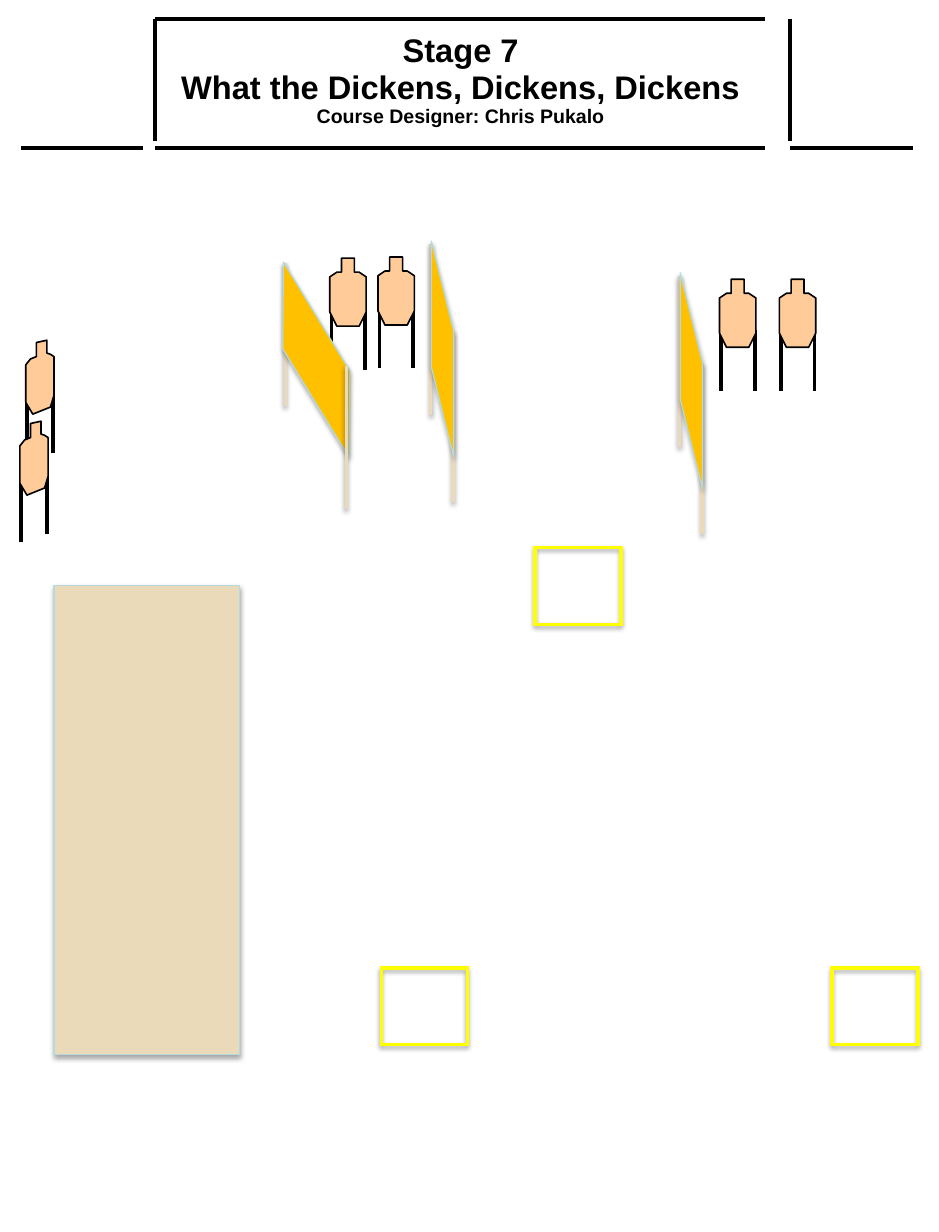
from lxml import etree
from pptx import Presentation
from pptx import util as u
from pptx.dml.color import RGBColor
from pptx.enum import shapes, text
from pptx.oxml import ns

BLACK = RGBColor(0x00, 0x00, 0x00)
WHITE = RGBColor(0xFF, 0xFF, 0xFF)
SAND = RGBColor(0xEB, 0xDA, 0xB9)
ORANGE = RGBColor(0xFF, 0xC0, 0x00)
PALE_BLUE = RGBColor(0xB5, 0xDA, 0xDD)
CARDBOARD = RGBColor(0xFF, 0xCC, 0x99)
YELLOW = RGBColor(0xFF, 0xFF, 0x00)

# Target outlines in hundredths of an inch from their top left corner
FRONT_TARGET = [(10, 0), (21, 0), (21, 12), (25, 12), (31, 16), (31, 46),
                (25, 58), (6, 58), (0, 46), (0, 16), (6, 12), (10, 12)]
ANGLED_TARGET = [(9, 2), (18, 0), (18, 11), (21, 12), (24, 14), (24, 47),
                 (21, 57), (6, 63), (0, 53), (0, 21), (4, 16), (9, 14)]
# Stake positions: x and top, from the target's top left corner
FRONT_STAKES = [(0.015, 0.43), (0.3, 0.43)]
ANGLED_STAKES = [(0.01, 0.51), (0.23, 0.44)]
STAKE_HEIGHT = 0.52


class StageDiagram:
    font = "Arial"

    def __init__(self, slide):
        self.slide = slide

    def group(self):
        return self.slide.shapes.add_group_shape().shapes

    def add_shadow(self, properties, distance, opacity):
        effects = properties.find(ns.qn("a:effectLst"))
        shadow = etree.SubElement(
            effects, ns.qn("a:outerShdw"), blurRad=str(u.Pt(3.1)),
            dist=str(u.Pt(distance)), dir="5400000", rotWithShape="0")
        color = etree.SubElement(shadow, ns.qn("a:srgbClr"), val=str(BLACK))
        etree.SubElement(color, ns.qn("a:alpha"), val=str(opacity * 1000))

    def line(self, parent, start, end, color=BLACK, width=2.25, shadow=False):
        connector = parent.add_connector(
            shapes.MSO_CONNECTOR.STRAIGHT,
            *(u.Inches(value) for value in (*start, *end)))
        connector.line.color.rgb = color
        connector.line.width = u.Pt(width)
        properties = connector._element.spPr
        etree.SubElement(properties, ns.qn("a:effectLst"))
        if shadow:
            self.add_shadow(properties, 1.6, 38)

    def paint(self, shape, fill, line=None, width=0.75, shadow=True):
        shape.shadow.inherit = False
        shape.fill.solid()
        shape.fill.fore_color.rgb = fill
        if line is None:
            shape.line.fill.background()
        else:
            shape.line.color.rgb = line
            shape.line.width = u.Pt(width)
        if shadow:
            self.add_shadow(shape._element.spPr, 1.8, 35)

    def shape(self, parent, kind, box, fill, line=None, shadow=True):
        shape = parent.add_shape(kind, *(u.Inches(value) for value in box))
        self.paint(shape, fill, line, shadow=shadow)
        return shape

    def title(self, parent, box, lines):
        shape = self.shape(parent, shapes.MSO_SHAPE.RECTANGLE, box, WHITE,
                           shadow=False)
        frame = shape.text_frame
        frame.word_wrap = True
        frame.vertical_anchor = text.MSO_ANCHOR.MIDDLE
        frame.margin_left = frame.margin_right = frame.margin_bottom = u.Inches(0.05)
        frame.margin_top = u.Inches(0.07)
        frame.text = "\n".join(wording for wording, _ in lines)
        for paragraph, (_, size) in zip(frame.paragraphs, lines):
            paragraph.alignment = text.PP_ALIGN.CENTER
            paragraph.line_spacing = 0.93
            for run in paragraph.runs:
                run.font.name = self.font
                run.font.size = u.Pt(size)
                run.font.bold = True
                run.font.color.rgb = BLACK

    def target(self, left, top, outline, stakes):
        group = self.group()
        for x, y in stakes:
            self.line(group, (left + x, top + y),
                      (left + x, top + y + STAKE_HEIGHT))
        builder = group.build_freeform(*outline[0], scale=u.Inches(0.01))
        builder.add_line_segments(outline[1:], close=True)
        shape = builder.convert_to_shape(u.Inches(left), u.Inches(top))
        self.paint(shape, CARDBOARD, BLACK, 1, shadow=False)

    def post(self, parent, x, top, height):
        self.line(parent, (x, top), (x, top + height), SAND, 2, shadow=True)

    def panel(self, parent, box, rotation, slant, flip=False):
        shape = self.shape(parent, shapes.MSO_SHAPE.PARALLELOGRAM, box,
                           ORANGE, PALE_BLUE)
        shape.adjustments[0] = slant
        shape.rotation = rotation
        if flip:
            shape._element.spPr.xfrm.set("flipH", "1")

    def narrow_wall(self, x, top):
        group = self.group()
        self.post(group, x + 0.19, top + 0.75, 1.45)
        self.post(group, x, top, 1.46)
        self.panel(group, (x - 0.82, top + 0.8, 1.84, 0.19), 270, 4.026)

    def wide_wall(self, x, top):
        group = self.group()
        self.post(group, x, top, 1.22)
        self.panel(group, (x - 0.59, top + 0.63, 1.71, 0.39), 58.6, 1.605,
                   flip=True)
        self.post(group, x + 0.52, top + 0.88, 1.22)

    def shooting_box(self, left, top):
        shape = self.shape(self.slide.shapes, shapes.MSO_SHAPE.FRAME,
                           (left, top, 0.75, 0.67), YELLOW, YELLOW)
        shape.adjustments[0] = 0.028


def main():
    presentation = Presentation()
    presentation.slide_width = u.Inches(8)
    presentation.slide_height = u.Inches(10.5)
    slide = presentation.slides.add_slide(presentation.slide_layouts[6])
    diagram = StageDiagram(slide)

    # Title block with its rules
    header = diagram.group()
    diagram.title(header, (1.32, 0.16, 5.21, 1.04), [
        ("Stage 7", 20),
        ("What the Dickens, Dickens, Dickens", 20),
        ("Course Designer: Chris Pukalo", 12)])
    for left, right, y in [(1.32, 6.52, 0.16), (0.18, 1.22, 1.26),
                           (1.32, 6.52, 1.26), (6.73, 7.78, 1.26)]:
        diagram.line(header, (left, y), (right, y), width=2.15)
    for x in (1.32, 6.73):
        diagram.line(header, (x, 0.16), (x, 1.2), width=2.15)

    # Right wall and sand area
    diagram.narrow_wall(5.79, 2.35)
    diagram.shape(slide.shapes, shapes.MSO_SHAPE.RECTANGLE,
                  (0.46, 4.99, 1.58, 4), SAND, PALE_BLUE)

    # Targets facing the shooter
    for left, top in [(3.22, 2.19), (6.64, 2.38), (6.13, 2.38), (2.81, 2.2)]:
        diagram.target(left, top, FRONT_TARGET, FRONT_STAKES)

    # Middle wall, angled targets and left wall
    diagram.narrow_wall(3.67, 2.08)
    for left, top in [(0.22, 2.9), (0.17, 3.59)]:
        diagram.target(left, top, ANGLED_TARGET, ANGLED_STAKES)
    diagram.wide_wall(2.43, 2.24)

    # Shooting boxes
    for left, top in [(4.55, 4.66), (3.24, 8.24), (7.08, 8.24)]:
        diagram.shooting_box(left, top)

    presentation.save("out.pptx")


if __name__ == "__main__":
    main()
